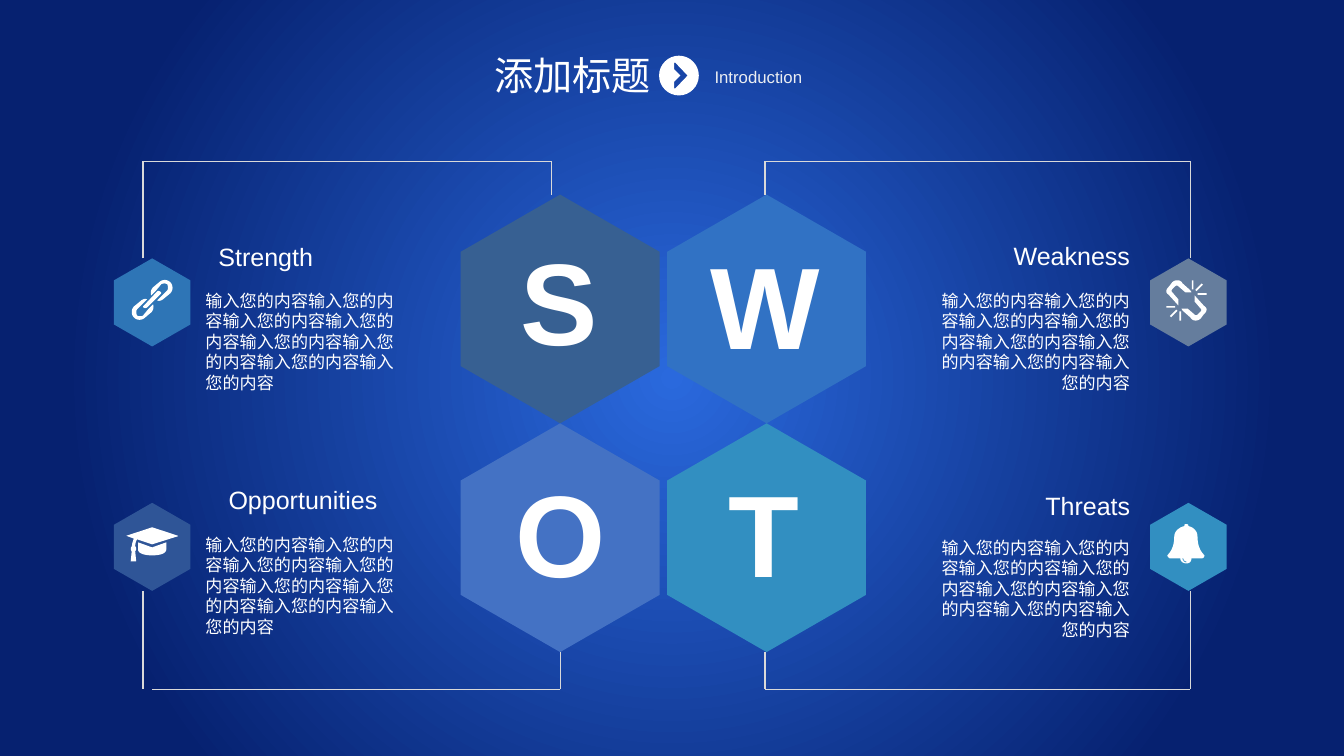
from dataclasses import dataclass

import lxml.etree
import pptx
import pptx.dml.color
import pptx.enum.shapes
import pptx.enum.text
import pptx.oxml
import pptx.oxml.ns
import pptx.slide
import pptx.text.text
import pptx.util

Pt = pptx.util.Pt
Align = pptx.enum.text.PP_ALIGN
Point = tuple[float, ...]
Contour = list[Point]


@dataclass(frozen=True)
class Theme:
    font: str = "Arial"
    white: str = "FFFFFF"
    subtitle: str = "EBEEF2"
    rail: str = "D9D9D9"
    glow: str = "2A69DD"
    night: str = "062170"
    title_size: float = 28
    subtitle_size: float = 12
    letter_size: float = 82.8
    heading_size: float = 17.9
    body_size: float = 12.2


@dataclass(frozen=True)
class Box:
    left: float
    top: float
    width: float
    height: float


@dataclass(frozen=True)
class Icon:
    contours: list[Contour]
    half: tuple[Contour, ...] = ()
    turn: Point = (0, 0)


@dataclass(frozen=True)
class Quadrant:
    letter: str
    heading: str
    row: int
    column: int
    hexagon_color: str
    badge_color: str
    letter_x: float
    letter_top: float
    heading_box: Box
    body_top: float
    rail_x: float
    rail_end: float
    icon: Icon


THEME = Theme()
BODY = "输入您的内容" * 8
HEXAGON_X, HEXAGON_Y = (400.1, 547.6), (220.7, 384.1)
HEXAGON_W, HEXAGON_H = 142, 163.4
BADGE_X, BADGE_Y = (108.7, 848.9), (216, 390.6)
BADGE_W, BADGE_H = 54.7, 62.9
RAIL_Y, DROP_X, BODY_X = (115.2, 492.5), (102.2, 850.3), (139.7, 659.5)

CHEVRON = Icon([
    [(14.2, 0), (14.2, 7.8, 7.8, 14.2, 0, 14.2), (-7.8, 14.2, -14.2, 7.8, -14.2, 0),
     (-14.2, -7.8, -7.8, -14.2, 0, -14.2), (7.8, -14.2, 14.2, -7.8, 14.2, 0)],
    [(6.2, 0), (-2.8, -9.4), (-3.4, -9), (-3.4, -4.4), (1, 0), (-3.4, 4.4), (-3.4, 9), (-2.8, 9.4)],
])
CHAIN = Icon(
    [[(-3.6, 3.6), (-4.3, 4.3, -6.5, 4.3, -6.5, 2.9), (-5.8, 2.2), (3.6, -7.9),
      (4.3, -8.6, 6.5, -7.9, 6.5, -6.5), (5.8, -5.8)]],
    ([(13, -6.5), (8.6, -2.9), (7.2, -1.4, 5, -0.7, 3.6, -1.4), (6.5, -4.3), (10.8, -8.6),
      (11.5, -9.4, 11.5, -11.5, 10.8, -13), (9.4, -13.7, 7.9, -13.7, 6.5, -13), (2.9, -8.6),
      (-0.7, -5), (-1.4, -7.2, -0.7, -9.4, 0.7, -10.8), (5, -14.4),
      (7.2, -16.6, 10.8, -16.6, 13, -14.4), (15.1, -12.2, 15.1, -8.6, 13, -6.5)],),
    (0, -3.6))
BROKEN_CHAIN = Icon(
    [],
    ([(-2.2, -7.2), (-7.2, -11.5), (-7.9, -12.2, -8.6, -12.2, -9.4, -11.5), (-11.5, -9.4),
      (-12.2, -8.6, -12.2, -7.9, -11.5, -7.2), (-7.2, -2.2), (-7.2, 2.2), (-7.9, 1.4),
      (-13.7, -5), (-14.4, -5.8, -15.8, -6.5, -15.8, -7.9),
      (-15.8, -9.4, -14.4, -10.8, -13.7, -11.5), (-11.5, -14.4),
      (-10.8, -15.1, -9.4, -15.8, -7.9, -15.8), (-6.5, -15.8, -5, -15.1, -4.3, -13.7),
      (1.4, -8.6), (2.2, -7.2)],
     [(-15.8, 2.6), (-9.4, 2.6), (-9.4, 3.8), (-15.8, 3.8)],
     [(-13.2, 9.8), (-8.6, 5.2), (-7.7, 6.1), (-12.3, 10.7)],
     [(-6.4, 6.5), (-5.2, 6.5), (-5.2, 13), (-6.4, 13)]),
    (-2.8, -2.8))
GRADUATION_CAP = Icon([
    [(18.5, -7.6), (0, -1.8), (-10.8, -5.4), (-11.5, -4, -12.1, -2.5, -12.1, -0.4),
     (-11.2, 0.4, -11.2, 2.2, -12.1, 3.2), (-11.4, 10.3), (-15.3, 10.3), (-14.6, 3.2),
     (-15.5, 2.2, -15.5, 0.4, -14.5, -0.4), (-14.4, -2.5, -13.8, -4, -13.1, -5.9),
     (-18.5, -7.9), (0, -14), (18.5, -7.9)],
    [(10.1, 1.8), (10.1, 4.7, 5.8, 6.1, 0, 6.1), (-5.8, 6.1, -10.1, 4.7, -10.1, 1.8),
     (-10.1, -3.2), (0, 0.4), (10.1, -3.2)],
])
BELL = Icon([
    [(9.4, 8.3), (2.2, 8.3), (2.2, 10.4, 0.7, 11.9, -1.4, 11.9),
     (-3.6, 11.9, -5.8, 10.4, -5.8, 8.3), (-13, 8.3), (-13.7, 8.3, -15.1, 6.8, -15.1, 6.1),
     (-13, 4, -10.1, 0.4, -10.1, -7.6), (-10.1, -10.4, -7.2, -14, -2.9, -14.8),
     (-2.9, -15.8, -2.9, -16.2, -1.4, -16.2), (0, -16.2, 0, -15.5, 0, -14.8),
     (4.3, -14, 6.5, -10.4, 6.5, -7.6), (6.5, 0.4, 9.4, 4, 11.5, 6.1),
     (11.5, 6.8, 10.8, 8.3, 9.4, 8.3)],
    [(-1.4, 10.4), (-2.9, 10.4, -3.6, 9, -3.6, 8.3), (-4.3, 8),
     (-4.3, 9.7, -2.9, 11.2, -1.4, 11.2)],
])

QUADRANTS = [
    Quadrant("S", "Strength", 0, 0, "376092", "2E75B6", 399.6, 160.6,
             Box(149, 169.2, 83.5, 28.8), 203.8, 393.8, 102.2, CHAIN),
    Quadrant("W", "Weakness", 0, 1, "3172C4", "657D9D", 546.8, 163.4,
             Box(713.5, 168.5, 100.8, 28.8), 203.8, 546.5, 850.3, BROKEN_CHAIN),
    Quadrant("O", "Opportunities", 1, 0, "4472C4", "2F5597", 400.3, 326.2,
             Box(156.2, 342.7, 122.4, 28.8), 378, 400.3, 108.7, GRADUATION_CAP),
    Quadrant("T", "Threats", 1, 1, "328FC1", "328FC1", 545.8, 326.2,
             Box(736.6, 347, 77.8, 28.8), 380.2, 546.5, 850.3, BELL),
]


def rgb(color: str) -> pptx.dml.color.RGBColor:
    return pptx.dml.color.RGBColor.from_string(color)


def paint_background(slide: pptx.slide.Slide) -> None:
    slide.background.fill.gradient()
    gradient = slide.background._cSld.find(".//" + pptx.oxml.ns.qn("a:gradFill"))
    gradient.getparent().replace(gradient, pptx.oxml.parse_xml(
        f'<a:gradFill {pptx.oxml.ns.nsdecls("a")} rotWithShape="1"><a:gsLst>'
        f'<a:gs pos="0"><a:srgbClr val="{THEME.glow}"/></a:gs>'
        f'<a:gs pos="79000"><a:srgbClr val="{THEME.night}"/></a:gs></a:gsLst>'
        '<a:path path="circle"><a:fillToRect l="50000" t="50000" r="50000" b="50000"/></a:path>'
        '</a:gradFill>'))


def flatten(contour: Contour, steps: int = 8) -> Contour:
    points: Contour = []
    for node in contour:
        if len(node) == 2:
            points.append(node)
            continue
        corners = [points[-1], node[:2], node[2:4], node[4:]]
        for step in range(1, steps + 1):
            t = step / steps
            weights = ((1 - t) ** 3, 3 * t * (1 - t) ** 2, 3 * t * t * (1 - t), t ** 3)
            points.append(tuple(sum(w * c[axis] for w, c in zip(weights, corners)) for axis in (0, 1)))
    return points


def draw_outline(slide: pptx.slide.Slide, center: Point, contours: list[Contour], color: str) -> None:
    placed = [[(Pt(center[0] + x), Pt(center[1] + y)) for x, y in flatten(c)] for c in contours]
    builder = slide.shapes.build_freeform(*placed[0][0])
    for index, points in enumerate(placed):
        if index:
            builder.move_to(*points[0])
        builder.add_line_segments(points[1:], close=True)
    outline = builder.convert_to_shape()
    outline.shadow.inherit = False
    outline.fill.solid()
    outline.fill.fore_color.rgb = rgb(color)
    outline.line.fill.background()


def draw_icon(slide: pptx.slide.Slide, center: Point, icon: Icon) -> None:
    turned = [[(icon.turn[0] - x, icon.turn[1] - y) for x, y in flatten(c)] for c in icon.half]
    draw_outline(slide, center, [*icon.contours, *icon.half, *turned], THEME.white)


def draw_hexagon(slide: pptx.slide.Slide, center: Point, width: float, height: float, color: str) -> None:
    x, y = width / 2, height / 2
    corners = [(0, -y), (x, -y / 2), (x, y / 2), (0, y), (-x, y / 2), (-x, -y / 2)]
    draw_outline(slide, center, [corners], color)


def format_text(frame: pptx.text.text.TextFrame, text: str, size: float, align: Align = Align.LEFT,
                color: str = THEME.white, bold: bool = False, wrap: bool = True) -> None:
    frame.text = text
    frame.word_wrap = wrap
    frame.auto_size = pptx.enum.text.MSO_AUTO_SIZE.NONE
    frame.vertical_anchor = pptx.enum.text.MSO_ANCHOR.TOP
    frame.paragraphs[0].alignment = align
    font = frame.paragraphs[0].runs[0].font
    font.name, font.size, font.bold = THEME.font, Pt(size), bold
    font.color.rgb = rgb(color)


def add_text(slide: pptx.slide.Slide, box: Box) -> pptx.text.text.TextFrame:
    return slide.shapes.add_textbox(Pt(box.left), Pt(box.top), Pt(box.width), Pt(box.height)).text_frame


def draw_rail(slide: pptx.slide.Slide, start: Point, end: Point) -> None:
    rail = slide.shapes.add_connector(pptx.enum.shapes.MSO_CONNECTOR.STRAIGHT,
                                      *(Pt(value) for value in (*start, *end)))
    rail.line.color.rgb = rgb(THEME.rail)
    rail.line.width = Pt(1)
    lxml.etree.SubElement(rail._element.spPr, pptx.oxml.ns.qn("a:effectLst"))


def draw_quadrant(slide: pptx.slide.Slide, part: Quadrant) -> None:
    hexagon = (HEXAGON_X[part.column], HEXAGON_Y[part.row])
    badge = (BADGE_X[part.column], BADGE_Y[part.row])
    side = 1 if part.row else -1
    align = Align.RIGHT if part.column else Align.LEFT
    rail_y, drop_x = RAIL_Y[part.row], DROP_X[part.column]
    draw_hexagon(slide, hexagon, HEXAGON_W, HEXAGON_H, part.hexagon_color)
    format_text(add_text(slide, Box(part.letter_x - 50.8, part.letter_top, 101.6, 108)),
                part.letter, THEME.letter_size, Align.CENTER, bold=True)
    draw_hexagon(slide, badge, BADGE_W, BADGE_H, part.badge_color)
    format_text(add_text(slide, part.heading_box), part.heading, THEME.heading_size, align, wrap=False)
    format_text(add_text(slide, Box(BODY_X[part.column], part.body_top, 154.8, 80.6)),
                BODY, THEME.body_size, align)
    draw_rail(slide, (part.rail_x, rail_y), (part.rail_end, rail_y))
    draw_rail(slide, (drop_x, badge[1] + side * BADGE_H / 2), (drop_x, rail_y))
    draw_rail(slide, (part.rail_x, hexagon[1] + side * HEXAGON_H / 2), (part.rail_x, rail_y))
    draw_icon(slide, badge, part.icon)


def main() -> None:
    deck = pptx.Presentation()
    deck.slide_width, deck.slide_height = Pt(960), Pt(540)
    slide = deck.slides.add_slide(deck.slide_layouts[5])
    paint_background(slide)
    title = slide.shapes.title
    title.left, title.top, title.width, title.height = Pt(314.6), Pt(33.1), Pt(188.6), Pt(41)
    format_text(title.text_frame, "添加标题", THEME.title_size, Align.CENTER)
    draw_icon(slide, (485, 54), CHEVRON)
    format_text(add_text(slide, Box(503.3, 43.9, 114.5, 21.6)), "Introduction",
                THEME.subtitle_size, color=THEME.subtitle)
    for part in QUADRANTS:
        draw_quadrant(slide, part)
    deck.save("out.pptx")


if __name__ == "__main__":
    main()
